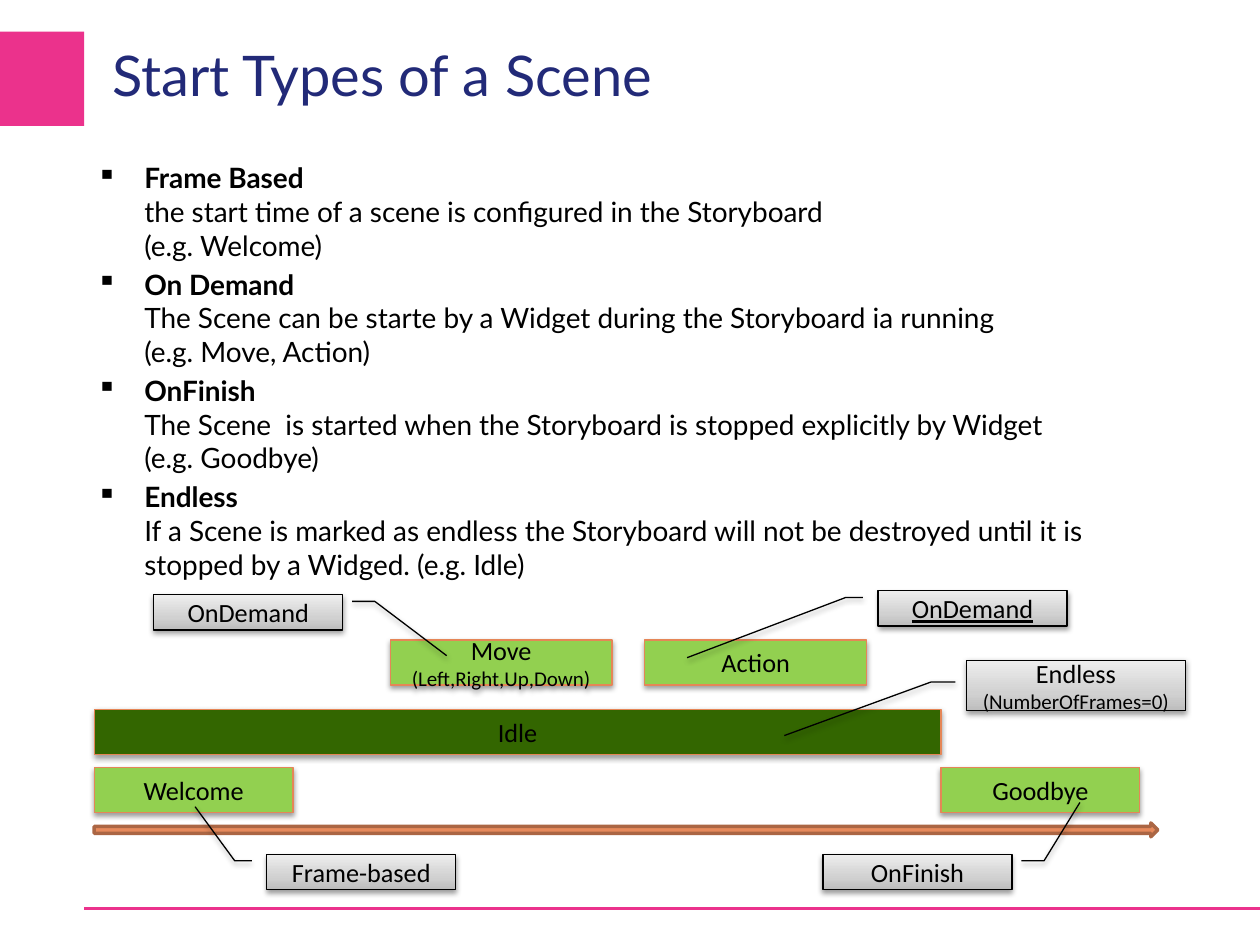
from lxml.etree import SubElement
from pptx import Presentation
from pptx.dml.color import RGBColor
from pptx.enum.shapes import MSO_CONNECTOR, MSO_SHAPE
from pptx.enum.text import MSO_ANCHOR, PP_ALIGN
from pptx.oxml.ns import qn
from pptx.util import Cm, Pt

COLORS = {
    "accent": "EB328C", "title": "222A78", "text": "000000",
    "scene": "92D050", "idle": "336600", "scene_line": "E58657",
    "timeline": "E78A5C", "timeline_line": "AB6644",
}
LABEL_GRADIENT = [(0, "BDBDBD"), (35, "D1D1D1"), (100, "EEEEEE")]

TITLE = "Start Types of a Scene"
START_TYPES = [
    ("Frame Based", ["the start time of a scene is configured in the Storyboard",
                     "(e.g. Welcome)"]),
    ("On Demand", ["The Scene can be starte by a Widget during the Storyboard ia running",
                   "(e.g. Move, Action)"]),
    ("OnFinish", ["The Scene  is started when the Storyboard is stopped explicitly by Widget",
                  "(e.g. Goodbye)"]),
    ("Endless", ["If a Scene is marked as endless the Storyboard will not be destroyed "
                 "until it is stopped by a Widged. (e.g. Idle)"]),
]

# Lengths in centimetres
START, IDLE_WIDTH = 1.9, 17.07
SCENE_HEIGHT, END_WIDTH, DEMAND_WIDTH = 0.91, 4.01, 4.47
LABEL_WIDTH, LABEL_HEIGHT = 3.81, 0.71
SCENES = [  # lines, left, top, width, colour
    (["Welcome"], START, 15.47, END_WIDTH, "scene"),
    (["Goodbye"], START + IDLE_WIDTH, 15.47, END_WIDTH, "scene"),
    (["Idle"], START, 14.3, IDLE_WIDTH, "idle"),
    (["Move", "(Left,Right,Up,Down)"], 7.87, 12.9, DEMAND_WIDTH, "scene"),
    (["Action"], 13, 12.9, DEMAND_WIDTH, "scene"),
]
# Leader: height at the label, x at the label, x of the bend, tip y, tip x,
# all as shares of the label's size
LABELS = [  # lines, left, top, width, height, leader, underlined
    (["Frame-based"], 5.38, 17.22, LABEL_WIDTH, LABEL_HEIGHT,
     (0.19, -0.08, -0.17, -1.35, -0.38), False),
    (["OnFinish"], 16.59, 17.22, LABEL_WIDTH, LABEL_HEIGHT,
     (0.19, 1.05, 1.17, -1.47, 1.36), False),
    (["OnDemand"], 17.7, 11.91, LABEL_WIDTH, LABEL_HEIGHT,
     (0.19, -0.08, -0.17, 1.9, -1.01), True),
    (["OnDemand"], 3.1, 11.99, LABEL_WIDTH, LABEL_HEIGHT,
     (0.19, 1.05, 1.17, 1.73, 1.55), False),
    (["Endless", "(NumberOfFrames=0)"], 19.48, 13.31, 4.42, 1.02,
     (0.43, -0.05, -0.16, 1.49, -0.83), False),
]


def rgb(name):
    return RGBColor.from_string(COLORS[name])


def add_run(paragraph, text, size, font, color="text", bold=None, underline=None):
    run = paragraph.add_run()
    run.text = text
    run.font.size, run.font.name = Pt(size), font
    run.font.bold, run.font.underline = bold, underline
    run.font.color.rgb = rgb(color)


def add_box(kind, box, fill, line, line_width):
    shape = slide.shapes.add_shape(kind, *map(Cm, box))
    shape.shadow.inherit = False
    if fill:
        shape.fill.solid()
        shape.fill.fore_color.rgb = rgb(fill)
    if line:
        shape.line.color.rgb = rgb(line)
        shape.line.width = Pt(line_width)
    else:
        shape.line.fill.background()
    return shape


def add_shadow(shape):
    effects = shape._element.spPr.find(qn("a:effectLst"))
    shadow = SubElement(effects, qn("a:outerShdw"), blurRad=str(Pt(3.1)),
                        dist=str(Pt(1.6)), dir="5400000", rotWithShape="0")
    color = SubElement(shadow, qn("a:srgbClr"), val=COLORS["text"])
    SubElement(color, qn("a:alpha"), val="38000")


def fill_gradient(shape, stops):
    shape.fill.gradient()
    gradient = shape._element.spPr.find(qn("a:gradFill"))
    for child in list(gradient):
        gradient.remove(child)
    stop_list = SubElement(gradient, qn("a:gsLst"))
    for position, color in stops:
        stop = SubElement(stop_list, qn("a:gs"), pos=str(position * 1000))
        SubElement(stop, qn("a:srgbClr"), val=color)
    SubElement(gradient, qn("a:lin"), ang="16200000", scaled="0")


def write_centred(shape, lines, underline=None):
    frame = shape.text_frame
    frame.word_wrap = False
    frame.vertical_anchor = MSO_ANCHOR.MIDDLE
    for i, (line, size) in enumerate(zip(lines, (15, 12))):
        paragraph = frame.add_paragraph() if i else frame.paragraphs[0]
        paragraph.alignment = PP_ALIGN.CENTER
        add_run(paragraph, line, size, "Calibri", underline=underline)


prs = Presentation()
prs.slide_width, prs.slide_height = Cm(25.4), Cm(19.05)
slide = prs.slides.add_slide(prs.slide_layouts[6])

# Accent block and footer rule
add_box(MSO_SHAPE.RECTANGLE, (-0.03, 0.64, 1.73, 1.9), "accent", None, 0)
footer = slide.shapes.add_connector(MSO_CONNECTOR.STRAIGHT,
                                    Cm(1.7), Cm(18.31), Cm(25.43), Cm(18.31))
footer.line.color.rgb = rgb("accent")
footer.line.width = Pt(2)
SubElement(footer._element.spPr, qn("a:effectLst"))

# Start types
body = slide.shapes.add_textbox(Cm(1.7), Cm(3.12), Cm(22), Cm(14.61)).text_frame
body.word_wrap = True
for i, (name, description) in enumerate(START_TYPES):
    paragraph = body.add_paragraph() if i else body.paragraphs[0]
    paragraph.space_before = Pt(3.2)
    properties = paragraph._p.get_or_add_pPr()
    properties.set("marL", str(Cm(0.96)))
    properties.set("indent", str(Cm(-0.96)))
    SubElement(properties, qn("a:buChar"), char="▪")
    add_run(paragraph, name, 16, "Lato", bold=True)
    for line in description:
        paragraph.add_line_break()
        add_run(paragraph, line, 16, "Lato", bold=False)

# Title
heading = slide.shapes.add_textbox(Cm(2.26), Cm(0.41), Cm(17.25), Cm(2.16)).text_frame
heading.word_wrap = True
heading.vertical_anchor = MSO_ANCHOR.MIDDLE
heading.margin_left = heading.margin_right = heading.margin_top = heading.margin_bottom = 0
add_run(heading.paragraphs[0], TITLE, 32, "Lato", "title")

# Timeline
add_box(MSO_SHAPE.RIGHT_ARROW, (START, 16.59, 21.44, 0.28), "timeline", "timeline_line", 2)

# Scenes
for lines, left, top, width, color in SCENES:
    scene = add_box(MSO_SHAPE.RECTANGLE, (left, top, width, SCENE_HEIGHT),
                    color, "scene_line", 0.75)
    add_shadow(scene)
    write_centred(scene, lines)

# Start type labels with leaders
for lines, left, top, width, height, leader, underlined in LABELS:
    label = add_box(MSO_SHAPE.LINE_CALLOUT_2, (left, top, width, height), None, "text", 0.75)
    fill_gradient(label, LABEL_GRADIENT)
    add_shadow(label)
    level, near, bend, tip_y, tip_x = leader
    for i, value in enumerate((level, near, level, bend, tip_y, tip_x)):
        label.adjustments[i] = value
    write_centred(label, lines, underlined)

prs.save("out.pptx")
